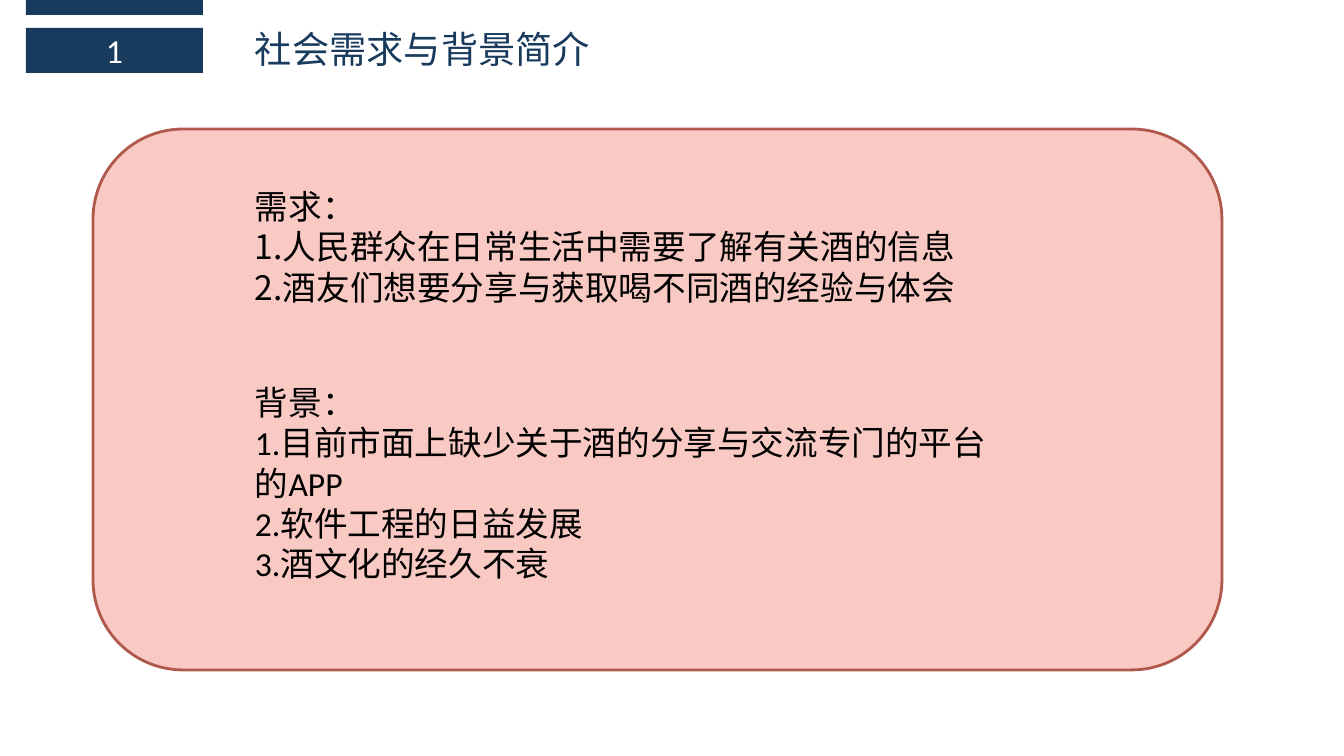
from dataclasses import dataclass

from pptx import Presentation
from pptx.dml.color import RGBColor
from pptx.enum.shapes import MSO_SHAPE
from pptx.enum.text import MSO_ANCHOR, PP_ALIGN
from pptx.oxml.ns import qn
from pptx.util import Emu, Pt

RECT, ROUNDED = MSO_SHAPE.RECTANGLE, MSO_SHAPE.ROUNDED_RECTANGLE
TOP, MIDDLE = MSO_ANCHOR.TOP, MSO_ANCHOR.MIDDLE
LEFT, CENTER = PP_ALIGN.LEFT, PP_ALIGN.CENTER
EMU_PER_PIXEL = 914400 / 100.8
LATIN, CHINESE = "Calibri", "Noto Sans CJK SC"
NAVY, PINK, BRICK, WHITE, BLACK = "183A5D", "F9C9C3", "B1584D", "FFFFFF", "000000"
TEXT_LEFT = 245


@dataclass
class Box:
    left: int
    top: int
    width: int
    height: int


@dataclass
class Panel:
    box: Box
    fill: str
    preset: int = RECT
    outline: str = ""


@dataclass
class Passage:
    box: Box
    lines: list[str]
    size: float = 24
    color: str = BLACK
    font: str = CHINESE
    align: int = LEFT
    anchor: int = TOP


def px(pixels: int) -> Emu:
    return Emu(round(pixels * EMU_PER_PIXEL))


def frame(box: Box) -> list[Emu]:
    return [px(side) for side in (box.left, box.top, box.width, box.height)]


def rgb(color: str) -> RGBColor:
    return RGBColor.from_string(color)


def set_all(target, values: dict) -> None:
    for attribute, value in values.items():
        setattr(target, attribute, value)


def draw_panel(slide, panel: Panel):
    shape = slide.shapes.add_shape(panel.preset, *frame(panel.box))
    shape.shadow.inherit = False
    shape.fill.solid()
    shape.fill.fore_color.rgb = rgb(panel.fill)
    if panel.outline:
        shape.line.color.rgb = rgb(panel.outline)
        shape.line.width = Pt(2)
    else:
        shape.line.fill.background()
    return shape


def draw_passage(slide, passage: Passage) -> None:
    text = slide.shapes.add_textbox(*frame(passage.box)).text_frame
    set_all(text, {"word_wrap": True, "vertical_anchor": passage.anchor})
    for index, line in enumerate(passage.lines):
        paragraph = text.paragraphs[0] if index == 0 else text.add_paragraph()
        paragraph.alignment = passage.align
        run = paragraph.add_run()
        run.text = line
        set_all(run.font, {"size": Pt(passage.size), "name": passage.font})
        run.font.color.rgb = rgb(passage.color)
        # Chinese glyphs take the East Asian typeface
        east_asian = run.font._element.makeelement(qn("a:ea"), {"typeface": CHINESE})
        run.font._element.append(east_asian)


NUMBER_TAB = Box(26, 28, 177, 45)
PANELS = [
    Panel(Box(93, 129, 1129, 541), PINK, ROUNDED, BRICK),
    Panel(Box(26, 0, 177, 15), NAVY),
    Panel(NUMBER_TAB, NAVY),
]
PASSAGES = [
    Passage(NUMBER_TAB, ["1"], color=WHITE, font=LATIN, align=CENTER, anchor=MIDDLE),
    Passage(Box(TEXT_LEFT, 21, 667, 55), ["社会需求与背景简介"], size=26.6, color=NAVY),
    Passage(Box(TEXT_LEFT, 181, 843, 132), [
        "需求：",
        "1.人民群众在日常生活中需要了解有关酒的信息",
        "2.酒友们想要分享与获取喝不同酒的经验与体会",
    ]),
    Passage(Box(TEXT_LEFT, 377, 762, 214), [
        "背景：",
        "1.目前市面上缺少关于酒的分享与交流专门的平台的APP",
        "2.软件工程的日益发展",
        "3.酒文化的经久不衰",
    ], font=LATIN),
]

presentation = Presentation()
set_all(presentation, {"slide_width": px(1344), "slide_height": px(756)})
slide = presentation.slides.add_slide(presentation.slide_layouts[6])

# Content card and header tabs
for panel in PANELS:
    draw_panel(slide, panel)

# Number, heading, needs and background
for passage in PASSAGES:
    draw_passage(slide, passage)

presentation.save("out.pptx")
